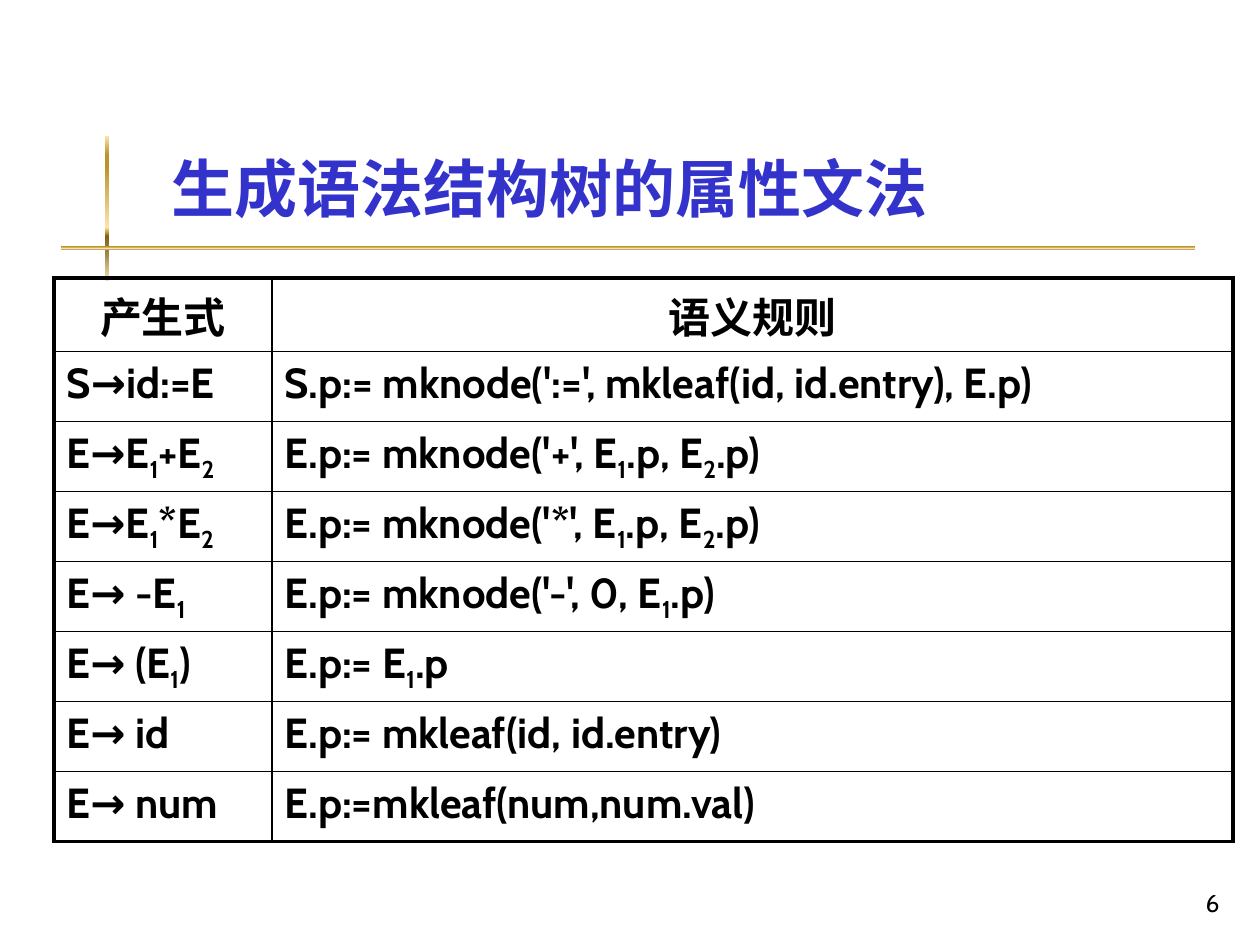
from lxml.etree import SubElement
from pptx import Presentation
from pptx.dml.color import RGBColor
from pptx.enum.shapes import MSO_SHAPE
from pptx.enum.text import MSO_ANCHOR, MSO_AUTO_SIZE, PP_ALIGN
from pptx.oxml.ns import qn
from pptx.util import Emu, Pt

# Content: "_" puts the next character in subscript
TITLE = "生成语法结构树的属性文法"
PAGE_NUMBER = "6"
GRAMMAR = [
    ("产生式", "语义规则"),
    ("S→id:=E", "S.p:= mknode(':=', mkleaf(id, id.entry), E.p)"),
    ("E→E_1+E_2", "E.p:= mknode('+', E_1.p, E_2.p)"),
    ("E→E_1*E_2", "E.p:= mknode('*', E_1.p, E_2.p)"),
    ("E→ -E_1", "E.p:= mknode('-', 0, E_1.p)"),
    ("E→ (E_1)", "E.p:= E_1.p"),
    ("E→ id", "E.p:= mkleaf(id, id.entry)"),
    ("E→ num", "E.p:=mkleaf(num,num.val)"),
]

# Look and places, in px
BLUE = RGBColor(0x33, 0x33, 0xCC)
BLACK = RGBColor(0, 0, 0)
GOLD = [(0, "FBE4AE"), (13, "BD922A"), (21, "BD922A"), (63, "FBE4AE"),
        (67, "BD922A"), (69, "835E17"), (82, "A28949"), (100, "FAE3B7")]
LATIN, CJK = "Cabin", "Noto Sans CJK JP"
RULES = [(105, 136, 4, 145), (61, 246, 1134, 4)]
TITLE_PLACE = (159, 29, 1073, 202)
NUMBER_PLACE = (970, 861, 262, 63)
TABLE_LEFT, TABLE_TOP, ROW_HEIGHT = 54, 278, 70
COLUMN_WIDTHS = [218, 961]
THIN, THICK = 1, 2.25


def px(length):
    return Emu(round(length * 914400 / 126))


def write(frame, text, size, font=LATIN, color=BLACK, bold=False,
          align=PP_ALIGN.LEFT, anchor=MSO_ANCHOR.TOP):
    frame.word_wrap = True
    frame.vertical_anchor = anchor
    para = frame.paragraphs[0]
    para.alignment = align
    first, *rest = text.split("_")
    pieces = [(first, False)]
    for part in rest:
        pieces += [(part[0], True), (part[1:], False)]
    for piece, lowered in pieces:
        if not piece:
            continue
        span = para.add_run()
        span.text = piece
        span.font.size = Pt(size)
        span.font.name = font
        span.font.bold = bold
        span.font.color.rgb = color
        properties = span.font._element
        SubElement(properties, qn("a:ea"), typeface=CJK)
        if lowered:
            properties.set("baseline", "-25000")


def add_gold_rule(slide, place):
    rule = slide.shapes.add_shape(MSO_SHAPE.RECTANGLE, *map(px, place))
    rule.shadow.inherit = False
    rule.line.fill.background()
    rule.fill.gradient()
    rule.fill.gradient_angle = 270
    stops = rule._element.spPr.find(qn("a:gradFill")).find(qn("a:gsLst"))
    for stop in list(stops):
        stops.remove(stop)
    for percent, color in GOLD:
        stop = SubElement(stops, qn("a:gs"), pos=str(percent * 1000))
        SubElement(stop, qn("a:srgbClr"), val=color)


def set_borders(cell, widths):
    properties = cell._tc.get_or_add_tcPr()
    for side, width in widths.items():
        line = SubElement(properties, qn(f"a:ln{side}"), w=str(Pt(width)))
        fill = SubElement(line, qn("a:solidFill"))
        SubElement(fill, qn("a:srgbClr"), val=str(BLACK))


def add_grammar_table(slide):
    rows, columns = len(GRAMMAR), len(COLUMN_WIDTHS)
    table = slide.shapes.add_table(
        rows, columns, px(TABLE_LEFT), px(TABLE_TOP),
        px(sum(COLUMN_WIDTHS)), px(ROW_HEIGHT * rows)).table
    table.first_row = table.horz_banding = False
    for column, width in zip(table.columns, COLUMN_WIDTHS):
        column.width = px(width)
    for r, texts in enumerate(GRAMMAR):
        table.rows[r].height = px(ROW_HEIGHT)
        for c, text in enumerate(texts):
            cell = table.cell(r, c)
            outer = {"L": c == 0, "R": c == columns - 1,
                     "T": r == 0, "B": r == rows - 1}
            set_borders(cell, {side: THICK if edge else THIN
                               for side, edge in outer.items()})
            cell.fill.background()
            write(cell.text_frame, text, 24, bold=True,
                  align=PP_ALIGN.CENTER if r == 0 else PP_ALIGN.LEFT)


def main():
    deck = Presentation()
    deck.slide_width, deck.slide_height = px(1260), px(945)
    slide = deck.slides.add_slide(deck.slide_layouts[5])

    # Gold cross behind the title
    for place in RULES:
        add_gold_rule(slide, place)

    # Title
    title = slide.shapes.title
    title.left, title.top, title.width, title.height = map(px, TITLE_PLACE)
    title.text_frame.auto_size = MSO_AUTO_SIZE.NONE
    write(title.text_frame, TITLE, 36, font=CJK, color=BLUE, bold=True,
          anchor=MSO_ANCHOR.BOTTOM)

    # Productions and their semantic rules
    add_grammar_table(slide)

    # Page number
    box = slide.shapes.add_textbox(*map(px, NUMBER_PLACE))
    write(box.text_frame, PAGE_NUMBER, 14, align=PP_ALIGN.RIGHT,
          anchor=MSO_ANCHOR.BOTTOM)

    deck.save("out.pptx")


if __name__ == "__main__":
    main()
